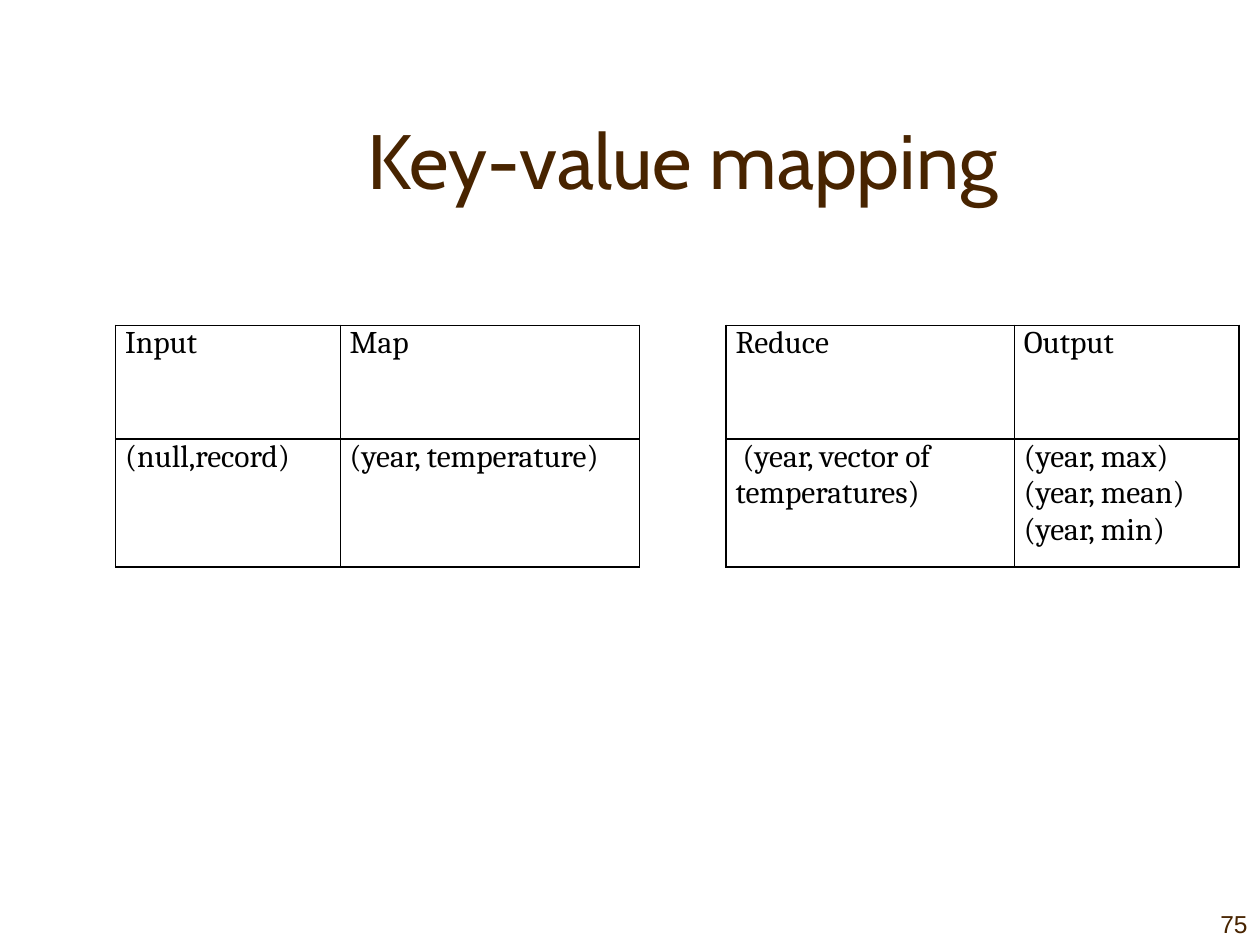
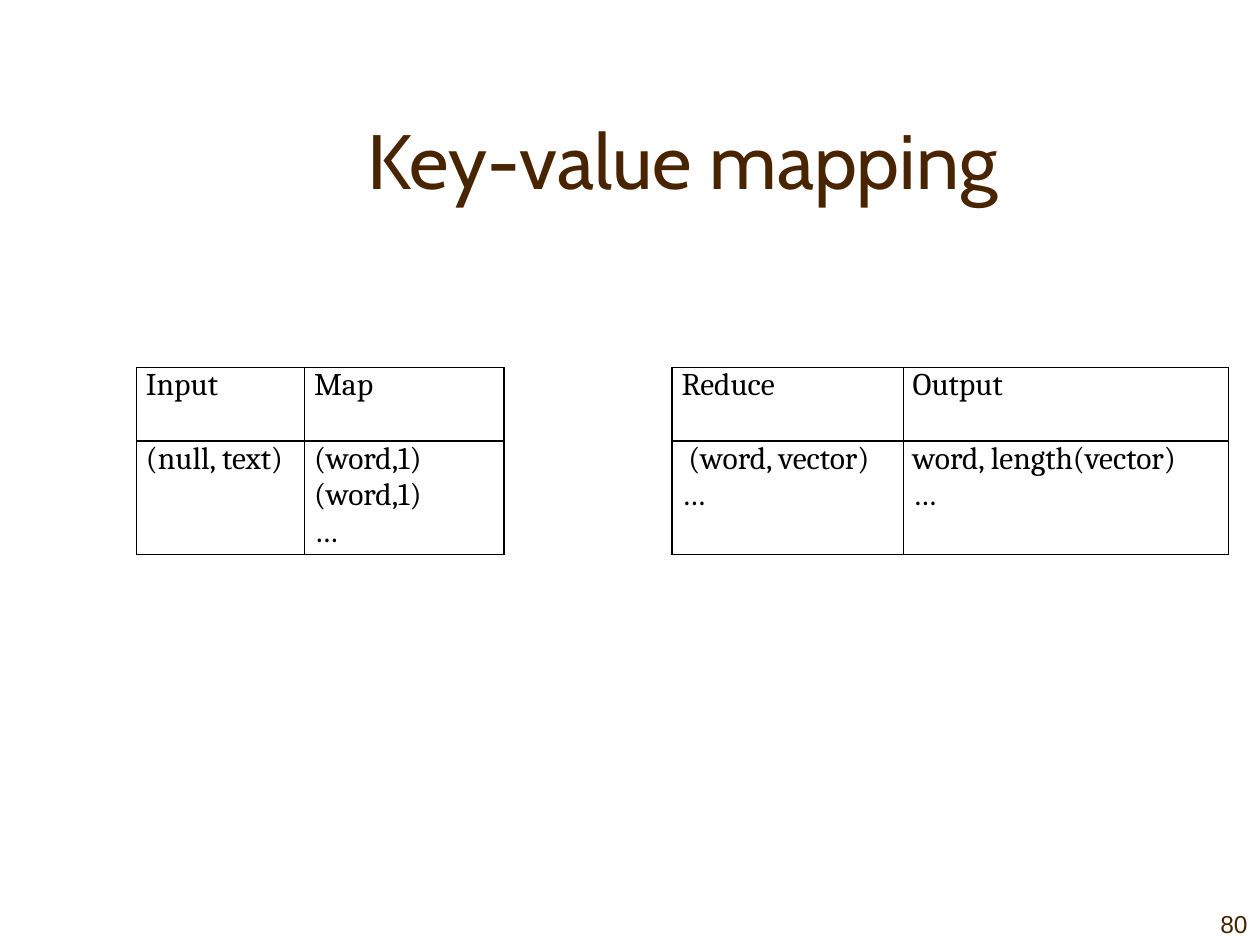
"""Builds two key-value mapping slides, each with a table split by a gap column."""
from lxml.etree import SubElement
from pptx import Presentation
from pptx.dml.color import RGBColor
from pptx.enum.text import MSO_ANCHOR as Anchor, PP_ALIGN as Align
from pptx.oxml.ns import qn
from pptx.util import Cm, Pt

COLOURS = {"brown": "482400", "black": "000000", "white": "FFFFFF"}
HEADERS = ["Input", "Map", None, "Reduce", "Output"]


class SlideBuilder:
    def __init__(self, deck):
        self.deck = deck
        self.page = None

    def start_page(self, title, number):
        self.page = self.deck.slides.add_slide(self.deck.slide_layouts[6])
        self.add_text(title, (2.97, 1.07, 21.59, 3.18), "Cabin", 44, Align.CENTER)
        self.add_text(number, (22.86, 17.78, 2.54, 1.27), "Arial", 14, Align.RIGHT)

    def add_run(self, para, text, font, size, colour):
        span = para.add_run()
        span.text = text
        span.font.name = font
        span.font.size = Pt(size)
        span.font.color.rgb = RGBColor.from_string(COLOURS[colour])

    def add_text(self, text, place, font, size, align):
        box = self.page.shapes.add_textbox(*[Cm(length) for length in place])
        frame = box.text_frame
        frame.word_wrap = True
        frame.vertical_anchor = Anchor.BOTTOM
        para = frame.paragraphs[0]
        para.alignment = align
        self.add_run(para, text, font, size, "brown")

    def add_border(self, cell, side, visible):
        line = SubElement(cell._tc.get_or_add_tcPr(), qn(f"a:ln{side}"), w=str(Pt(1)))
        if visible:
            fill = SubElement(line, qn("a:solidFill"))
            SubElement(fill, qn("a:srgbClr"), val=COLOURS["black"])
        else:
            SubElement(line, qn("a:noFill"))

    def fill_cell(self, cell, text):
        is_gap = text is None
        for side in "LRTB":
            self.add_border(cell, side, side in "LR" or not is_gap)
        if is_gap:
            cell.fill.background()
            return
        cell.fill.solid()
        cell.fill.fore_color.rgb = RGBColor.from_string(COLOURS["white"])
        cell.margin_left = cell.margin_right = Cm(0.19)
        cell.margin_top = cell.margin_bottom = 0
        frame = cell.text_frame
        for index, line in enumerate(text.split("\n")):
            para = frame.add_paragraph() if index else frame.paragraphs[0]
            self.add_run(para, line, "Cambria", 18, "black")

    def add_mapping_table(self, left, top, widths, heights, values):
        rows = [HEADERS, values]
        shape = self.page.shapes.add_table(
            len(rows), len(HEADERS), Cm(left), Cm(top), Cm(sum(widths)), Cm(sum(heights)))
        table = shape.table
        table.first_row = table.horz_banding = False
        for column, width in zip(table.columns, widths):
            column.width = Cm(width)
        for row, height, texts in zip(table.rows, heights, rows):
            row.height = Cm(height)
            for cell, text in zip(row.cells, texts):
                self.fill_cell(cell, text)


def main():
    deck = Presentation()
    deck.slide_width, deck.slide_height = Cm(25.4), Cm(19.05)
    builder = SlideBuilder(deck)

    builder.start_page("Key-value mapping", "75")
    builder.add_mapping_table(
        2.33, 6.56, [4.53, 6.03, 1.75, 5.81, 4.53], [2.29, 2.58],
        ["(null,record)", "(year, temperature)", None,
         " (year, vector of temperatures)", "(year, max)\n(year, mean)\n(year, min)"])

    builder.start_page("Key-value mapping", "80")
    builder.add_mapping_table(
        2.75, 7.41, [3.39, 4.02, 3.39, 4.66, 6.56], [1.48, 2.2],
        ["(null, text)", "(word,1)\n(word,1)\n…", None,
         " (word, vector)\n…", "word, length(vector)\n…"])

    deck.save("out.pptx")


if __name__ == "__main__":
    main()
